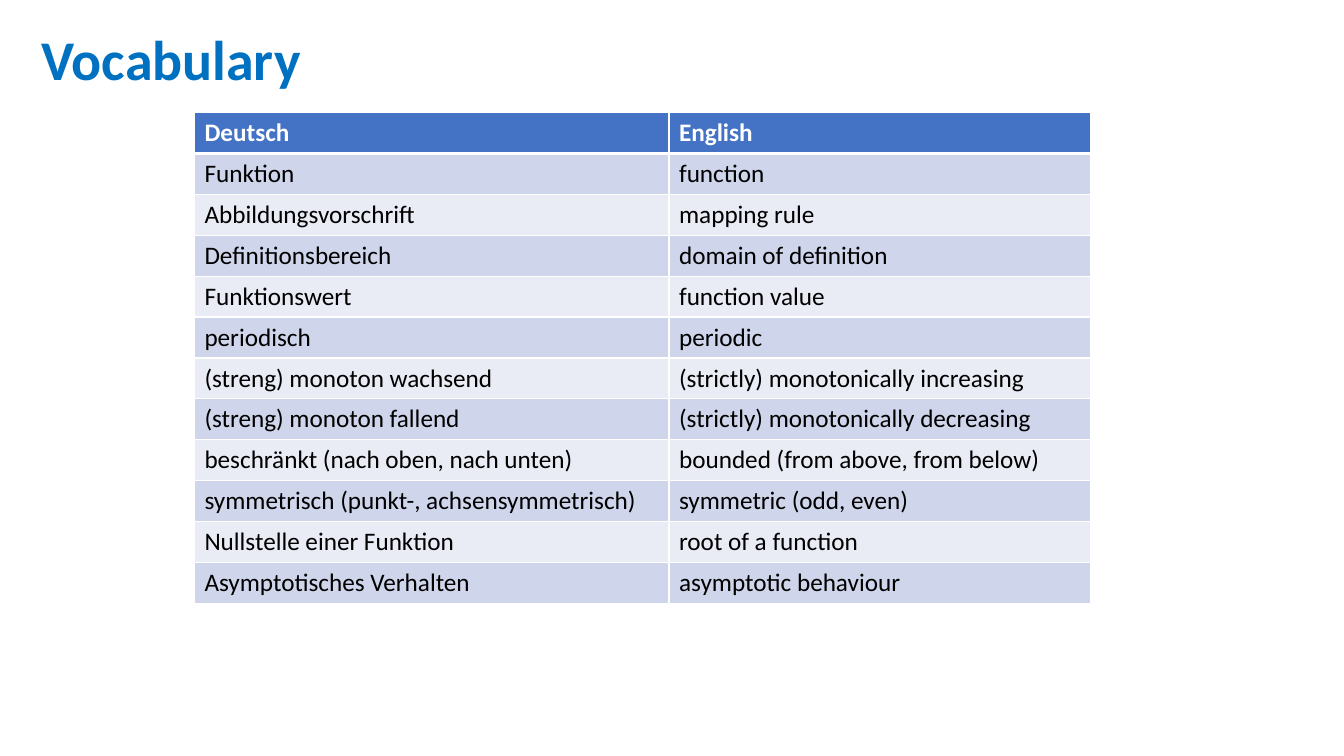
from typing import NamedTuple

from lxml.etree import SubElement
from pptx import Presentation
from pptx.dml.color import RGBColor
from pptx.enum.text import MSO_ANCHOR, MSO_AUTO_SIZE, PP_ALIGN
from pptx.oxml.ns import qn
from pptx.util import Cm, Pt

FONT = "Calibri"
COLORS = {
    "title": "0070C0",
    "header": "4472C4",
    "band_dark": "CFD5EA",
    "band_light": "E9EBF5",
    "border": "FFFFFF",
    "header_text": "FFFFFF",
    "body_text": "000000",
}
COLUMN_WIDTHS = (Cm(11.96), Cm(10.62))
ROW_HEIGHT = Cm(1.03)
THIN, THICK = Pt(1), Pt(3)


class Entry(NamedTuple):
    german: str
    english: str


ENTRIES = [
    Entry("Deutsch", "English"),
    Entry("Funktion", "function"),
    Entry("Abbildungsvorschrift", "mapping rule"),
    Entry("Definitionsbereich", "domain of definition"),
    Entry("Funktionswert", "function value"),
    Entry("periodisch", "periodic"),
    Entry("(streng) monoton wachsend", "(strictly) monotonically increasing"),
    Entry("(streng) monoton fallend", "(strictly) monotonically decreasing"),
    Entry("beschränkt (nach oben, nach unten)", "bounded (from above, from below)"),
    Entry("symmetrisch (punkt-, achsensymmetrisch)", "symmetric (odd, even)"),
    Entry("Nullstelle einer Funktion", "root of a function"),
    Entry("Asymptotisches Verhalten", "asymptotic behaviour"),
]


def rgb(name: str) -> RGBColor:
    return RGBColor.from_string(COLORS[name])


def format_text(text_frame, size: int, color: str, bold: bool) -> None:
    for paragraph in text_frame.paragraphs:
        paragraph.alignment = PP_ALIGN.LEFT
        for run in paragraph.runs:
            run.font.name = FONT
            run.font.size = Pt(size)
            run.font.bold = bold
            run.font.color.rgb = rgb(color)


def set_borders(cell, top: int, bottom: int) -> None:
    properties = cell._tc.get_or_add_tcPr()
    widths = {"a:lnL": THIN, "a:lnR": THIN, "a:lnT": top, "a:lnB": bottom}
    for tag, width in widths.items():
        line = SubElement(properties, qn(tag), w=str(int(width)))
        fill = SubElement(line, qn("a:solidFill"))
        SubElement(fill, qn("a:srgbClr"), val=COLORS["border"])


def add_title(slide, text: str) -> None:
    title = slide.shapes.title
    title.left, title.top = Cm(0.79), Cm(0.48)
    title.width, title.height = Cm(7.11), Cm(1.96)
    text_frame = title.text_frame
    text_frame.text = text
    text_frame.word_wrap = False
    text_frame.auto_size = MSO_AUTO_SIZE.SHAPE_TO_FIT_TEXT
    text_frame.vertical_anchor = MSO_ANCHOR.TOP
    format_text(text_frame, 40, "title", True)


def add_vocabulary(slide, entries: list[Entry]) -> None:
    table = slide.shapes.add_table(
        len(entries), len(COLUMN_WIDTHS), Cm(4.9), Cm(2.84),
        sum(COLUMN_WIDTHS), ROW_HEIGHT * len(entries),
    ).table
    for column, width in zip(table.columns, COLUMN_WIDTHS):
        column.width = width
    for row_index, entry in enumerate(entries):
        table.rows[row_index].height = ROW_HEIGHT
        is_header = row_index == 0
        band = "band_dark" if row_index % 2 else "band_light"
        for column_index, text in enumerate(entry):
            cell = table.cell(row_index, column_index)
            cell.text_frame.text = text
            format_text(cell.text_frame, 18,
                        "header_text" if is_header else "body_text", is_header)
            set_borders(cell, THICK if row_index == 1 else THIN,
                        THICK if is_header else THIN)
            cell.fill.solid()
            cell.fill.fore_color.rgb = rgb("header" if is_header else band)


def main() -> None:
    presentation = Presentation()
    presentation.slide_width, presentation.slide_height = Cm(33.87), Cm(19.05)
    slide = presentation.slides.add_slide(presentation.slide_layouts.get_by_name("Title Only"))
    add_title(slide, "Vocabulary")
    add_vocabulary(slide, ENTRIES)
    presentation.save("out.pptx")


if __name__ == "__main__":
    main()
